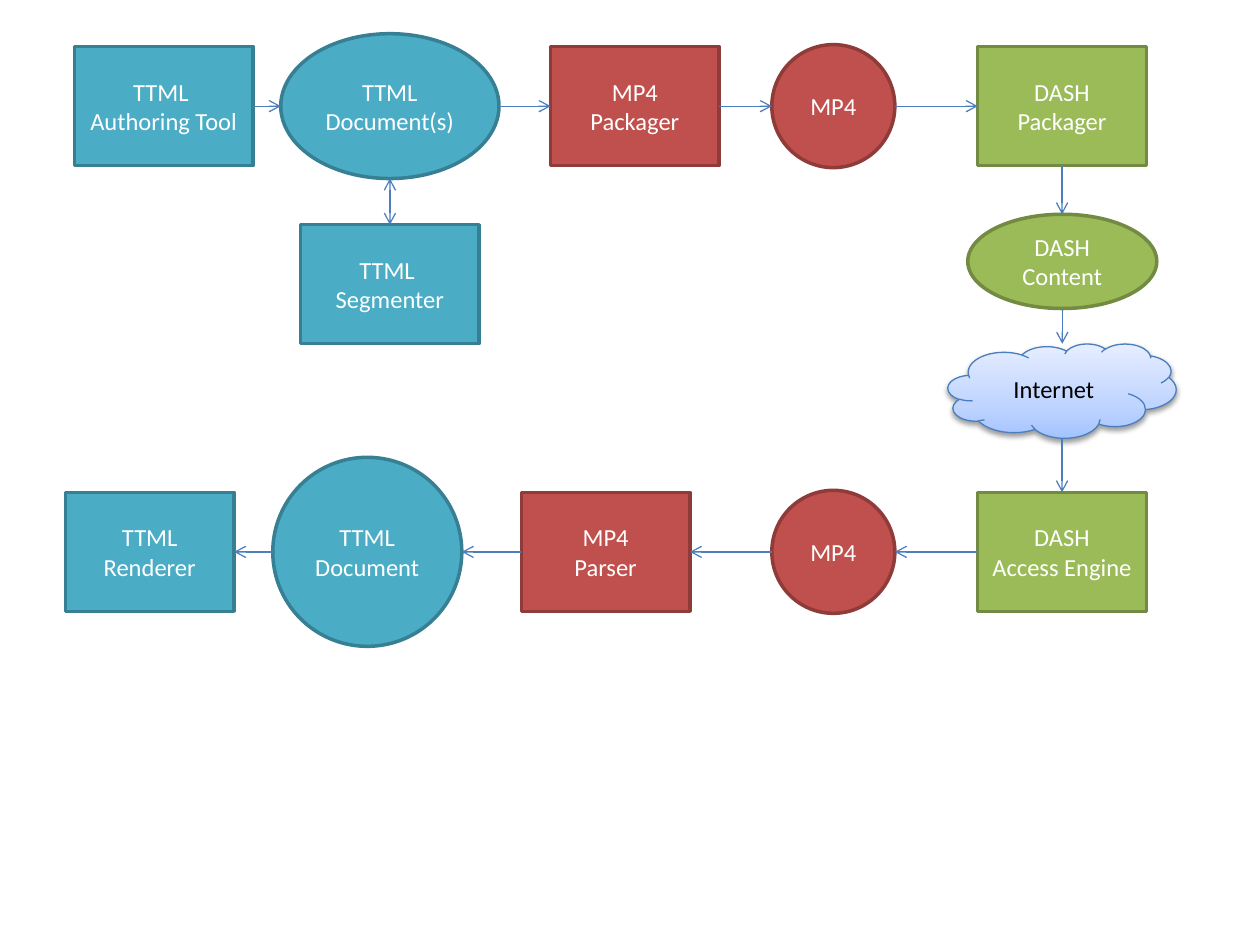
from copy import deepcopy
from lxml.etree import SubElement
from pptx import Presentation
from pptx.dml.color import RGBColor
from pptx.enum.shapes import MSO_CONNECTOR, MSO_SHAPE
from pptx.enum.text import MSO_ANCHOR, PP_ALIGN
from pptx.oxml.ns import qn
from pptx.util import Cm, Pt

RECT, OVAL, CLOUD = MSO_SHAPE.RECTANGLE, MSO_SHAPE.OVAL, MSO_SHAPE.CLOUD
TEAL, RED, GREEN = ("4BACC6", "377F92"), ("C0504D", "8E3B39"), ("9BBB59", "738A42")
BLUE = "4B7EBC"
SKY = [(0, "A4C4FF"), (0.35, "BFD4FF"), (1, "E6EEFF")]


def paint(color, code):
    """Set a colour from a hex string."""
    color.rgb = RGBColor.from_string(code)


def node(slide, form, text, hue, left, top, width, height, ink="FFFFFF"):
    """Add one labelled shape; hue is its fill and line colour."""
    shape = slide.shapes.add_shape(form, Cm(left), Cm(top), Cm(width), Cm(height))
    shape.shadow.inherit = False
    shape.fill.solid()
    paint(shape.fill.fore_color, hue[0])
    paint(shape.line.color, hue[1])
    shape.line.width = Pt(2)
    frame = shape.text_frame
    frame.word_wrap = True
    frame.vertical_anchor = MSO_ANCHOR.MIDDLE
    para = frame.paragraphs[0]
    para.text = text
    para.alignment = PP_ALIGN.CENTER
    for run in para.runs:
        run.font.name, run.font.size = "Calibri", Pt(14)
        paint(run.font.color, ink)
    return shape


def cloud(slide, left, top, width, height):
    """Add the Internet cloud with its gradient and soft shadow."""
    shape = node(slide, CLOUD, "Internet", (SKY[0][1], BLUE),
                 left, top, width, height, "000000")
    shape.line.width = Pt(0.75)
    shape.fill.gradient()
    shape.fill.gradient_angle = 90
    props = shape.element.spPr
    stops = props.find(".//" + qn("a:gsLst"))
    stops.append(deepcopy(stops[0]))
    for stop, (place, code) in zip(shape.fill.gradient_stops, SKY):
        stop.position = place
        paint(stop.color, code)
    shade = SubElement(props.find(qn("a:effectLst")), qn("a:outerShdw"),
                       blurRad=str(Pt(3.1)), dist=str(Pt(1.6)),
                       dir="5400000", rotWithShape="0")
    black = SubElement(shade, qn("a:srgbClr"), val="000000")
    SubElement(black, qn("a:alpha"), val="38000")
    return shape


def link(slide, start, end, both=False):
    """Join the facing edges of two shapes with an arrow."""
    mid_x = start.left + start.width // 2
    mid_y = start.top + start.height // 2
    if start.left + start.width <= end.left:
        ends = start.left + start.width, mid_y, end.left, mid_y
    elif end.left + end.width <= start.left:
        ends = start.left, mid_y, end.left + end.width, mid_y
    else:
        ends = mid_x, start.top + start.height, mid_x, end.top
    line = slide.shapes.add_connector(MSO_CONNECTOR.STRAIGHT, *ends)
    paint(line.line.color, BLUE)
    line.line.width = Pt(0.75)
    props = line.element.spPr
    stroke = props.find(qn("a:ln"))
    for tag in ("a:headEnd", "a:tailEnd") if both else ("a:tailEnd",):
        SubElement(stroke, qn(tag), type="arrow")
    SubElement(props, qn("a:effectLst"))


def chain(slide, shapes):
    """Link each shape to the next one."""
    for start, end in zip(shapes, shapes[1:]):
        link(slide, start, end)


def row(slide, left, top, height, parts):
    """Place parts along the middle of a band and return them."""
    return [node(slide, form, text, hue, left + x, top + (height - h) / 2, w, h)
            for form, text, hue, x, w, h in parts]


def send(slide, left, top):
    """Draw the authoring row and its segmenter; return the last shape."""
    shapes = row(slide, left, top, 2.92, [
        (RECT, "TTML \nAuthoring Tool", TEAL, 0, 3.6, 2.4),
        (OVAL, "TTML Document(s)", TEAL, 4.16, 4.4, 2.92),
        (RECT, "MP4\nPackager", RED, 9.6, 3.4, 2.4),
        (OVAL, "MP4", RED, 14.06, 2.48, 2.48),
        (RECT, "DASH\nPackager", GREEN, 18.21, 3.4, 2.4)])
    chain(slide, shapes)
    cutter = node(slide, RECT, "TTML \nSegmenter", TEAL,
                  left + 4.56, top + 3.85, 3.6, 2.4)
    link(slide, shapes[1], cutter, both=True)
    return shapes[-1]


def receive(slide, left, top):
    """Draw the playback row, right to left; return its first shape."""
    shapes = row(slide, left, top, 3.81, [
        (RECT, "DASH\nAccess Engine", GREEN, 18.39, 3.4, 2.4),
        (OVAL, "MP4", RED, 14.24, 2.48, 2.48),
        (RECT, "MP4\nParser", RED, 9.19, 3.4, 2.4),
        (OVAL, "TTML Document", TEAL, 4.18, 3.81, 3.81),
        (RECT, "TTML\nRenderer", TEAL, 0, 3.4, 2.4)])
    chain(slide, shapes)
    return shapes[0]


def deliver(slide, left, top, first, last):
    """Draw the delivery column between two shapes."""
    content = node(slide, OVAL, "DASH Content", GREEN, left + 0.4, top, 3.81, 1.9)
    net = cloud(slide, left, top + 2.61, 4.6, 1.9)
    chain(slide, [first, content, net, last])


def main():
    """Build and save the slide."""
    deck = Presentation()
    deck.slide_width, deck.slide_height = Cm(25.4), Cm(19.05)
    slide = deck.slides.add_slide(deck.slide_layouts[6])
    first = send(slide, 1.5, 0.68)
    last = receive(slide, 1.32, 9.22)
    deliver(slide, 19.11, 4.32, first, last)
    deck.save("out.pptx")


main()
